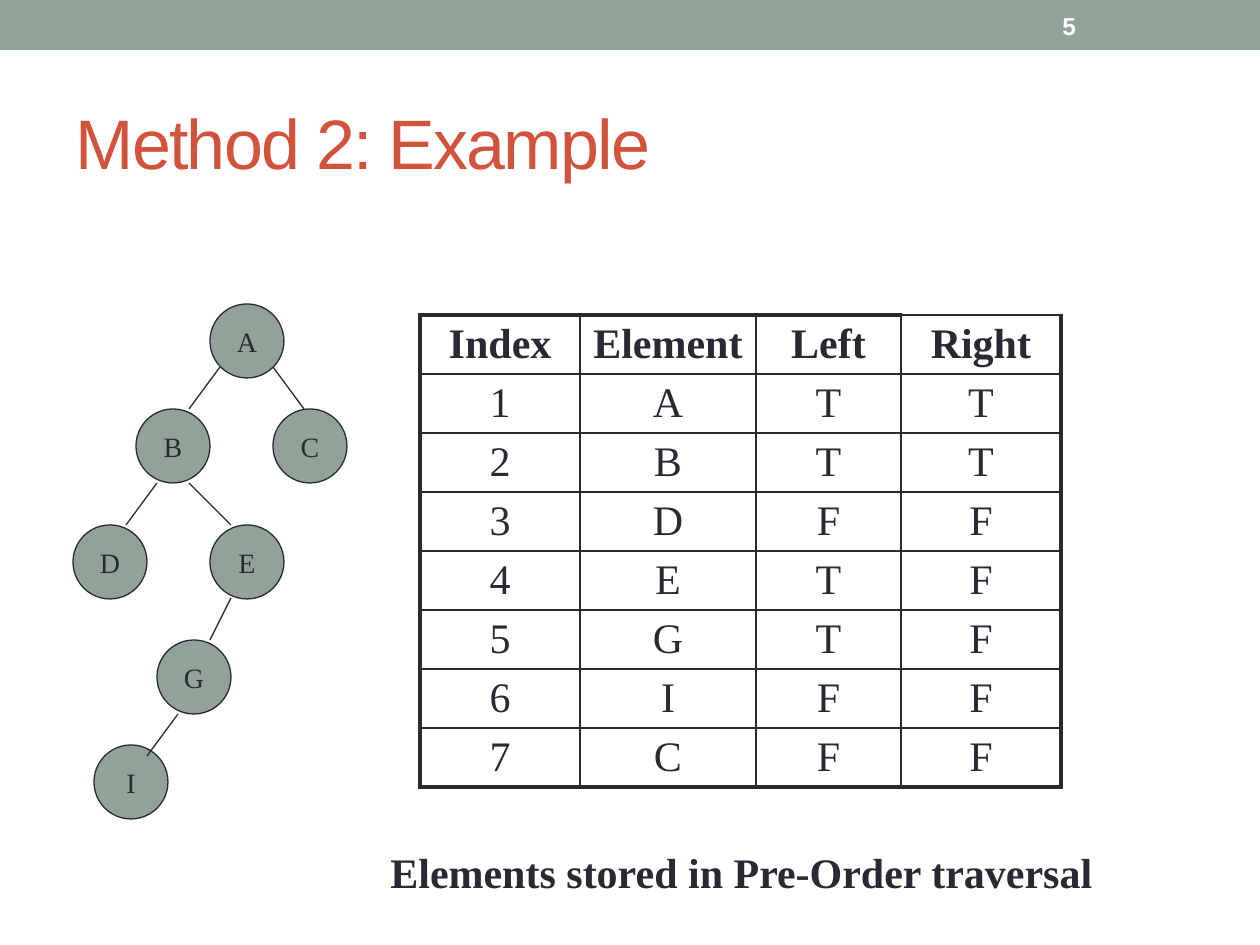
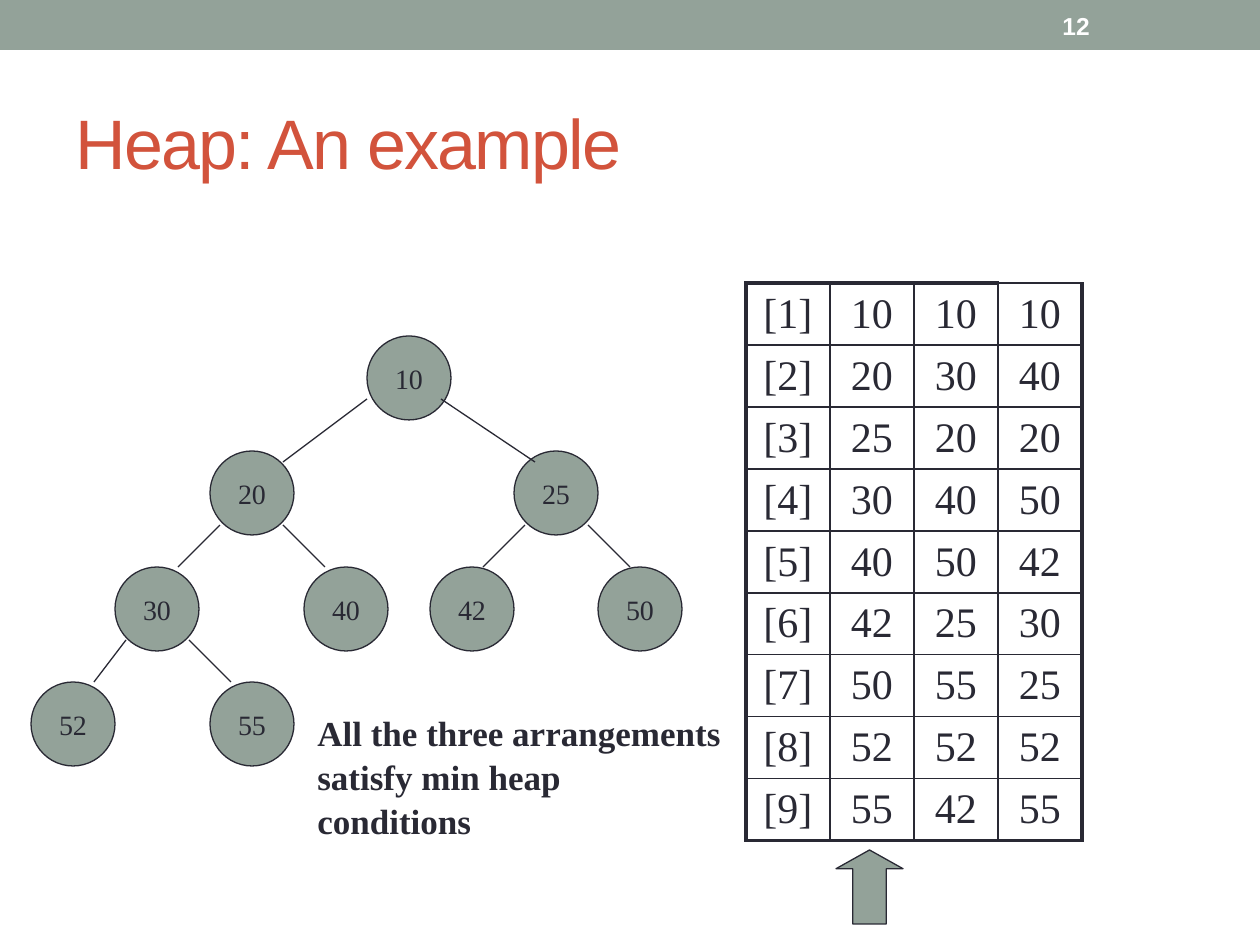
from lxml import etree
from pptx import Presentation
from pptx.dml.color import RGBColor
from pptx.enum.shapes import MSO_CONNECTOR, MSO_SHAPE
from pptx.enum.text import MSO_ANCHOR, PP_ALIGN
from pptx.oxml.ns import qn
from pptx.util import Pt

PX = 914400 / 126
WIDTH, HEIGHT = 1260, 945
COLORS = {"sage": "93A299", "ink": "292934", "title": "D2533C", "white": "FFFFFF"}
SANS, SERIF = "Arial", "Times New Roman"
LEFT, CENTER = PP_ALIGN.LEFT, PP_ALIGN.CENTER
TOP, MIDDLE = MSO_ANCHOR.TOP, MSO_ANCHOR.MIDDLE
RECT, OVAL, UP_ARROW = MSO_SHAPE.RECTANGLE, MSO_SHAPE.OVAL, MSO_SHAPE.UP_ARROW
STRAIGHT = MSO_CONNECTOR.STRAIGHT
TITLE_ONLY = 5
THIN, THICK = 1, 2.25

SLIDES = [
    {
        "title": "Method 2: Example",
        "number": "5",
        "node_size": 74,
        "nodes": [("A", 210, 304), ("D", 73, 525), ("B", 136, 409), ("C", 273, 409),
                  ("E", 210, 525), ("G", 157, 640), ("I", 94, 745)],
        "edges": [(220, 367, 189, 409), (273, 367, 304, 409), (157, 483, 126, 525),
                  (189, 483, 231, 525), (231, 598, 210, 640), (178, 714, 147, 756)],
        "table": {
            "at": (420, 315), "columns": (160, 176, 145, 160), "row": 59, "header": True,
            "rows": ["Index Element Left Right", "1 A T T", "2 B T T", "3 D F F",
                     "4 E T F", "5 G T F", "6 I F F", "7 C F F"],
        },
        "caption": {"text": "Elements stored in Pre-Order traversal",
                    "at": (378, 840, 740, 63), "size": 24, "spacing": 1},
    },
    {
        "title": "Heap: An example",
        "number": "12",
        "node_size": 84,
        "nodes": [("10", 367, 336), ("25", 514, 451), ("20", 210, 451),
                  ("30", 115, 567), ("40", 304, 567), ("42", 430, 567),
                  ("50", 598, 567), ("52", 31, 682), ("55", 210, 682)],
        "edges": [(367, 399, 283, 462), (441, 399, 535, 462), (220, 525, 178, 567),
                  (283, 525, 325, 567), (525, 525, 483, 567), (588, 525, 630, 567),
                  (126, 640, 94, 682), (189, 640, 231, 682)],
        "table": {
            "at": (746, 283), "columns": (84, 84, 84, 84), "row": 62, "header": False,
            "rows": ["[1] 10 10 10", "[2] 20 30 40", "[3] 25 20 20", "[4] 30 40 50",
                     "[5] 40 50 42", "[6] 42 25 30", "[7] 50 55 25", "[8] 52 52 52",
                     "[9] 55 42 55"],
        },
        "arrow": (836, 850, 67, 74),
        "caption": {"text": "All the three arrangements\nsatisfy min heap\vconditions",
                    "at": (305, 703, 440, 140), "size": 20, "spacing": 1.05},
    },
]


def px(*lengths):
    return [round(n * PX) for n in lengths]


def rgb(name):
    return RGBColor.from_string(COLORS[name])


def write(tf, text, size, font=SERIF, color="ink", bold=False, align=LEFT, anchor=TOP):
    tf.text = text
    tf.vertical_anchor = anchor
    for p in tf.paragraphs:
        p.alignment = align
        for r in p.runs:
            r.font.size, r.font.name, r.font.bold = Pt(size), font, bold
            r.font.color.rgb = rgb(color)


def add_sage_shape(shapes, kind, box, outlined=True):
    sp = shapes.add_shape(kind, *px(*box))
    sp.shadow.inherit = False
    sp.fill.solid()
    sp.fill.fore_color.rgb = rgb("sage")
    if outlined:
        sp.line.color.rgb = rgb("ink")
        sp.line.width = Pt(0.75)
    else:
        sp.line.fill.background()
    return sp


def add_text_box(s, box):
    tf = s.shapes.add_textbox(*px(*box)).text_frame
    tf.word_wrap = True
    return tf


def add_frame(s, title, number):
    """Add what every slide shares: band, title and slide number."""
    add_sage_shape(s.shapes, RECT, (0, 0, WIDTH, 50), outlined=False)
    sp = s.shapes.title
    sp.left, sp.top, sp.width, sp.height = px(63, 73, 1134, 136)
    write(sp.text_frame, title, 40, SANS, "title", anchor=MIDDLE)
    sp.text_frame.paragraphs[0].runs[0].font._element.set("spc", "-100")
    write(add_text_box(s, (1050, 3, 147, 45)), number, 14, SANS, "white", True, anchor=MIDDLE)


def add_tree(s, nodes, size, edges):
    shapes = s.shapes.add_group_shape().shapes
    for label, x, y in nodes:
        tf = add_sage_shape(shapes, OVAL, (x, y, size, size)).text_frame
        tf.word_wrap = False
        write(tf, label, 16, align=CENTER, anchor=MIDDLE)
    for edge in edges:
        line = shapes.add_connector(STRAIGHT, *px(*edge))
        line.line.color.rgb = rgb("ink")
        line.line.width = Pt(0.75)
        etree.SubElement(line._element.spPr, qn("a:effectLst"))


def set_borders(cell, widths):
    """Draw the left, right, top and bottom borders, given in points."""
    props = cell._tc.get_or_add_tcPr()
    for i, (side, width) in enumerate(zip("LRTB", widths)):
        ln = etree.Element(qn(f"a:ln{side}"), w=str(Pt(width)))
        fill = etree.SubElement(ln, qn("a:solidFill"))
        etree.SubElement(fill, qn("a:srgbClr"), val=COLORS["ink"])
        props.insert(i, ln)


def add_grid(s, at, columns, row, header, rows):
    last_row, last_col = len(rows) - 1, len(columns) - 1
    box = px(*at, sum(columns), row * len(rows))
    table = s.shapes.add_table(len(rows), len(columns), *box).table
    table.first_row = table.horz_banding = False
    for column, width in zip(table.columns, px(*columns)):
        column.width = width
    for i, line in enumerate(rows):
        table.rows[i].height = px(row)[0]
        for j, text in enumerate(line.split()):
            cell = table.cell(i, j)
            cell.fill.background()
            cell.margin_top = cell.margin_bottom = px(4)[0]
            cell.vertical_anchor = MIDDLE
            write(cell.text_frame, text, 24, bold=header and i == 0,
                  align=CENTER, anchor=MIDDLE)
            # The top edge stays thin over the last column.
            outer = (j == 0, j == last_col, i == 0 and j < last_col, i == last_row)
            set_borders(cell, [THICK if edge else THIN for edge in outer])


def add_caption(s, text, at, size, spacing):
    tf = add_text_box(s, at)
    write(tf, text, size, bold=True)
    for p in tf.paragraphs:
        p.line_spacing = spacing


def main():
    prs = Presentation()
    prs.slide_width, prs.slide_height = px(WIDTH, HEIGHT)
    for content in SLIDES:
        s = prs.slides.add_slide(prs.slide_layouts[TITLE_ONLY])
        add_frame(s, content["title"], content["number"])
        add_tree(s, content["nodes"], content["node_size"], content["edges"])
        add_grid(s, **content["table"])
        if "arrow" in content:
            arrow = add_sage_shape(s.shapes, UP_ARROW, content["arrow"])
            arrow.adjustments[0], arrow.adjustments[1] = 0.5, 0.28
        add_caption(s, **content["caption"])
    prs.save("out.pptx")


if __name__ == "__main__":
    main()
